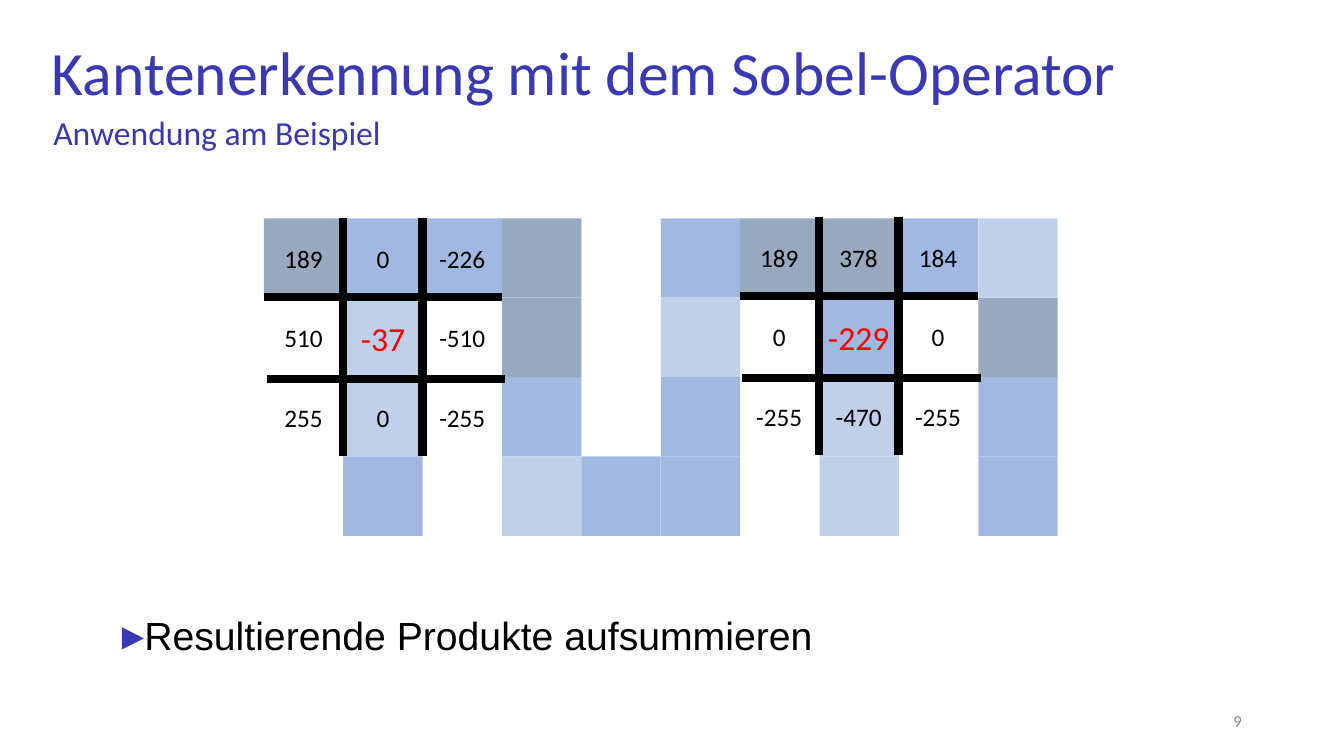
from pptx import Presentation
from pptx import util as u
from pptx.dml.color import RGBColor
from pptx.enum import shapes, text
from pptx.oxml.ns import qn
from lxml import etree

CELL = 56.7
BLUE, BLACK, RED, GREY = "3939B5", "000000", "FF0000", "8C8C8C"
SHADES = {"D": "8497B0", "M": "8FAADC", "L": "B4C7E7"}
PIXELS = ["DMMD.MDDML", ".L.D.L.M.D", ".L.M.M.L.M", ".M.LMM.L.M"]
LEFT_SUMS = [["189", "0", "-226"], ["510", "-37", "-510"], ["255", "0", "-255"]]
RIGHT_SUMS = [["189", "378", "184"], ["0", "-229", "0"], ["-255", "-470", "-255"]]


def rgb(value):
    """Turn a hex string into a colour."""
    return RGBColor.from_string(value)


def add_run(p, content, size, color, font="Calibri"):
    """Append a formatted run to a paragraph."""
    r = p.add_run()
    r.text = content
    r.font.size, r.font.name = u.Pt(size), font
    r.font.color.rgb = rgb(color)


def add_text(s, box, content, size=18, color=BLACK, font="Calibri", align="LEFT",
             anchor="TOP", inset=(7.2, 3.6), wrap=True, spacing=None):
    """Add a one-paragraph text box and return its paragraph."""
    tf = s.shapes.add_textbox(*map(u.Pt, box)).text_frame
    tf.word_wrap = wrap
    tf.vertical_anchor = getattr(text.MSO_ANCHOR, anchor)
    tf.margin_left, tf.margin_top = map(u.Pt, inset)
    tf.margin_right, tf.margin_bottom = map(u.Pt, (min(inset[0], 7.2), inset[1]))
    p = tf.paragraphs[0]
    p.alignment = getattr(text.PP_ALIGN, align)
    if spacing:
        p.line_spacing = spacing
    add_run(p, content, size, color, font)
    return p


def header(s, left, top):
    """Place the title and the subtitle."""
    add_text(s, (left, top, 828, 104.4), "Kantenerkennung mit dem Sobel-Operator", 44, BLUE,
             anchor="MIDDLE", inset=(37, 3.6), spacing=0.9)
    add_text(s, (left + 31, top + 74.8, 558.7, 36), "Anwendung am Beispiel", 24, BLUE)


def pixel_image(s, left, top):
    """Draw the translucent pixels of the sample image."""
    for row, line in enumerate(PIXELS):
        for col, shade in enumerate(line):
            if shade not in SHADES:
                continue
            sp = s.shapes.add_shape(shapes.MSO_SHAPE.RECTANGLE, u.Pt(left + col * CELL),
                                    u.Pt(top + row * CELL), u.Pt(CELL), u.Pt(CELL))
            sp.shadow.inherit = False
            sp.line.fill.background()
            sp.fill.solid()
            sp.fill.fore_color.rgb = rgb(SHADES[shade])
            color = sp._element.spPr.find(qn("a:solidFill"))[0]
            etree.SubElement(color, qn("a:alpha")).set("val", "83000")


def kernel(s, left, top, sums):
    """Draw a 3 by 3 grid with its products and the red sum in the middle."""
    side = 3 * CELL
    group = s.shapes.add_group_shape()
    for x1, y1, x2, y2 in [(CELL, 0, CELL, side), (2 * CELL, 0, 2 * CELL, side),
                           (0, CELL, side, CELL), (2, 115.2, side + 2, 115.2)]:
        line = group.shapes.add_connector(
            shapes.MSO_CONNECTOR.STRAIGHT, u.Pt(left + x1), u.Pt(top + y1),
            u.Pt(left + x2), u.Pt(top + y2))
        line.line.width = u.Pt(6)
        line.line.color.rgb = rgb(BLACK)
        etree.SubElement(line._element.spPr, qn("a:effectLst"))
    for row, values in enumerate(sums):
        for col, value in enumerate(values):
            middle = row == col == 1
            add_text(s, (left + col * CELL, top + row * CELL + 0.7, CELL, CELL), value,
                     24 if middle else 18, RED if middle else BLACK, align="CENTER",
                     anchor="MIDDLE", inset=(0, 0), wrap=False)


def footer(s, left, top):
    """Place the statement and the page number."""
    p = add_text(s, (left, top, 800.6, 46), "▸", 32, BLUE, "Arial")
    add_run(p, "Resultierende Produkte aufsummieren", 28, BLACK, "Arial")
    add_text(s, (left + 598.3, top + 71.3, 216, 28.8), "9", 12, GREY, align="RIGHT",
             anchor="MIDDLE")


def main():
    """Build the slide and save it."""
    prs = Presentation()
    prs.slide_width, prs.slide_height = u.Pt(960), u.Pt(540)
    s = prs.slides.add_slide(prs.slide_layouts[6])
    header(s, 0, 1.4)
    pixel_image(s, 188.5, 156)
    kernel(s, 188.5, 155.5, LEFT_SUMS)
    kernel(s, 528.3, 154.8, RIGHT_SUMS)
    footer(s, 79.9, 429.1)
    prs.save("out.pptx")


if __name__ == "__main__":
    main()
